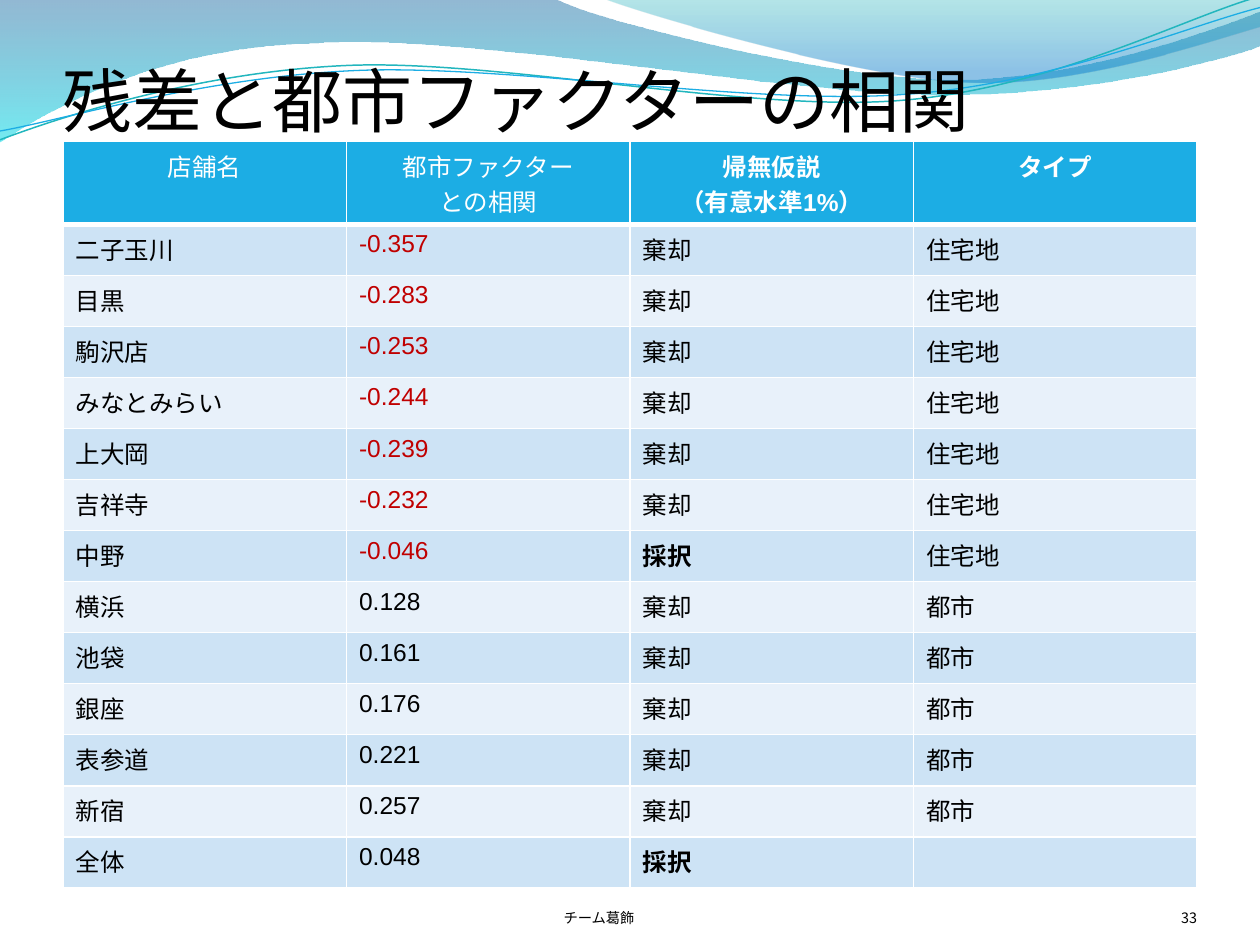
from itertools import chain

from lxml.etree import SubElement
from pptx import Presentation
from pptx.dml.color import RGBColor
from pptx.enum.text import MSO_ANCHOR as Anchor, PP_ALIGN as Align
from pptx.oxml.ns import qn
from pptx.util import Inches, Pt

CJK_FONT = "Noto Sans CJK JP"
BLACK, WHITE, RED = "000000", "FFFFFF", "C00000"
HEADER_FILL = "1CADE4"
BAND_FILLS = ("CDE3F5", "E8F1FA")

# A wave is a start point and segments: one point is a straight line, three a Bézier curve.
BACK_WAVE = (
    (0, 0),
    [[(4.4, -0.01)],
     [(4.75, 0.17), (6.63, 0.63), (7.58, 0.63)],
     [(8.53, 0.63), (9.58, 0.26), (10, 0.09)],
     [(10.01, 0.36)],
     [(9.83, 0.44), (8.69, 0.76), (7.46, 0.75)],
     [(6.22, 0.75), (3.81, 0.28), (2.57, 0.34)],
     [(1.29, 0.36), (0.46, 0.83), (-0.01, 1.13)]],
)
RIGHT_WAVE = (
    (4.79, -0.01),
    [[(5.09, 0.11), (6.82, 0.62), (7.68, 0.65)],
     [(8.55, 0.69), (9.61, 0.32), (10, 0.21)],
     [(10, 0)]],
)
TEAL_STRAND = (
    (0, 1.11),
    [[(0.48, 0.93), (1.57, 0.57), (2.76, 0.52)],
     [(3.95, 0.47), (5.92, 0.89), (7.12, 0.8)],
     [(8.33, 0.71), (9.38, 0.15), (9.97, -0.02)]],
)
BLUE_STRAND = (
    (0, 1.04),
    [[(0.47, 0.96), (1.63, 0.61), (2.83, 0.56)],
     [(4.02, 0.51), (5.97, 0.84), (7.17, 0.75)],
     [(8.36, 0.67), (9.41, 0.21), (10, 0.06)]],
)

HEADERS = [  # lines, bold
    (["店舗名"], False),
    (["都市ファクター", "との相関"], False),
    (["帰無仮説", "（有意水準1%）"], True),
    (["タイプ"], True),
]
STORES = [
    ("二子玉川", "-0.357", "棄却", "住宅地"),
    ("目黒", "-0.283", "棄却", "住宅地"),
    ("駒沢店", "-0.253", "棄却", "住宅地"),
    ("みなとみらい", "-0.244", "棄却", "住宅地"),
    ("上大岡", "-0.239", "棄却", "住宅地"),
    ("吉祥寺", "-0.232", "棄却", "住宅地"),
    ("中野", "-0.046", "採択", "住宅地"),
    ("横浜", "0.128", "棄却", "都市"),
    ("池袋", "0.161", "棄却", "都市"),
    ("銀座", "0.176", "棄却", "都市"),
    ("表参道", "0.221", "棄却", "都市"),
    ("新宿", "0.257", "棄却", "都市"),
    ("全体", "0.048", "採択", ""),
]


def rgb(hex_color):
    return RGBColor.from_string(hex_color)


def style_paragraph(paragraph, size, color, latin=CJK_FONT, bold=False, align=Align.LEFT):
    paragraph.alignment = align
    font = paragraph.font
    font.size, font.bold, font.name = Pt(size), bold, latin
    font.color.rgb = rgb(color)
    SubElement(font._element, qn("a:ea"), typeface=CJK_FONT)


def add_wave(slide, wave, closed):
    start, segments = wave
    points = [(Inches(x), Inches(y)) for x, y in chain.from_iterable(segments)]
    builder = slide.shapes.build_freeform(Inches(start[0]), Inches(start[1]))
    builder.add_line_segments(points, close=closed)
    shape = builder.convert_to_shape()
    shape.shadow.inherit = False

    line_steps = iter(list(shape._element.iter(qn("a:lnTo"))))
    for segment in segments:
        steps = [next(line_steps) for _ in segment]
        if len(steps) == 3:
            first = steps[0]
            first.tag = qn("a:cubicBezTo")
            for step in steps[1:]:
                first.append(step[0])
                step.getparent().remove(step)
    return shape


def add_gradient_wave(slide, wave, stops):
    """Fill a wave from top to bottom; stops are (position, colour, opacity %)."""
    shape = add_wave(slide, wave, closed=True)
    shape.line.fill.background()
    shape.fill.gradient()
    shape.fill.gradient_angle = 270
    for stop, (position, color, _) in zip(shape.fill.gradient_stops, stops):
        stop.position = position
        stop.color.rgb = rgb(color)
    for color_element, (_, _, opacity) in zip(shape._element.iter(qn("a:srgbClr")), stops):
        SubElement(color_element, qn("a:alpha"), val=str(opacity * 1000))


def add_strand(slide, wave, color, width):
    shape = add_wave(slide, wave, closed=False)
    shape.fill.background()
    shape.line.color.rgb = rgb(color)
    shape.line.width = Pt(width)


def add_label(slide, text, box, size, align=Align.LEFT, top_inset=0, line_spacing=None):
    frame = slide.shapes.add_textbox(*map(Inches, box)).text_frame
    frame.word_wrap = True
    frame.vertical_anchor = Anchor.BOTTOM
    frame.margin_left = frame.margin_right = frame.margin_bottom = 0
    frame.margin_top = Inches(top_inset)
    paragraph = frame.paragraphs[0]
    paragraph.text = text
    paragraph.line_spacing = line_spacing
    style_paragraph(paragraph, size, BLACK, align=align)


def set_borders(cell, bottom):
    properties = cell._tc.get_or_add_tcPr()
    for index, (side, width) in enumerate(zip("LRTB", (1, 1, 1, bottom))):
        line = SubElement(properties, qn(f"a:ln{side}"), w=str(Pt(width)))
        SubElement(SubElement(line, qn("a:solidFill")), qn("a:srgbClr"), val=WHITE)
        properties.insert(index, line)


def fill_cell(cell, lines, fill, color, bold, align=Align.LEFT, bottom=1):
    cell.fill.solid()
    cell.fill.fore_color.rgb = rgb(fill)
    set_borders(cell, bottom)
    cell.text = "\n".join(lines)
    for paragraph in cell.text_frame.paragraphs:
        style_paragraph(paragraph, 14, color, "Arial", bold, align)


def add_correlation_table(slide):
    header_height, body_height = 0.66, 5.27
    table = slide.shapes.add_table(
        len(STORES) + 1, len(HEADERS), Inches(0.5), Inches(1.12),
        Inches(9), Inches(header_height + body_height)).table
    for row in table.rows:
        row.height = Inches(body_height / len(STORES))
    table.rows[0].height = Inches(header_height)

    for column, (lines, bold) in enumerate(HEADERS):
        fill_cell(table.cell(0, column), lines, HEADER_FILL, WHITE, bold, Align.CENTER, bottom=3)
    for row, store in enumerate(STORES, start=1):
        for column, value in enumerate(store):
            color = RED if value.startswith("-") else BLACK
            fill_cell(table.cell(row, column), [value], BAND_FILLS[(row - 1) % 2],
                      color, bold=value == "採択")


def main():
    prs = Presentation()
    prs.slide_width, prs.slide_height = Inches(10), Inches(7.5)
    slide = prs.slides.add_slide(prs.slide_layouts[6])

    add_gradient_wave(slide, BACK_WAVE, [(0, "10639E", 45), (1, "00DBE7", 55)])
    add_gradient_wave(slide, RIGHT_WAVE, [(0, "09AAB3", 30), (0.8, "0578CB", 45)])
    add_strand(slide, TEAL_STRAND, "22B6BE", 0.85)
    add_strand(slide, BLUE_STRAND, "1CADE4", 0.75)

    add_label(slide, "残差と都市ファクターの相関", (0.5, -0.13, 9, 1.25), 40,
              top_inset=0.05, line_spacing=0.8)
    add_correlation_table(slide)
    add_label(slide, "チーム葛飾", (2.92, 6.95, 3.67, 0.4), 8.2, Align.CENTER)
    add_label(slide, "33", (8.67, 6.95, 0.83, 0.4), 8.2, Align.RIGHT)
    prs.save("out.pptx")


if __name__ == "__main__":
    main()
